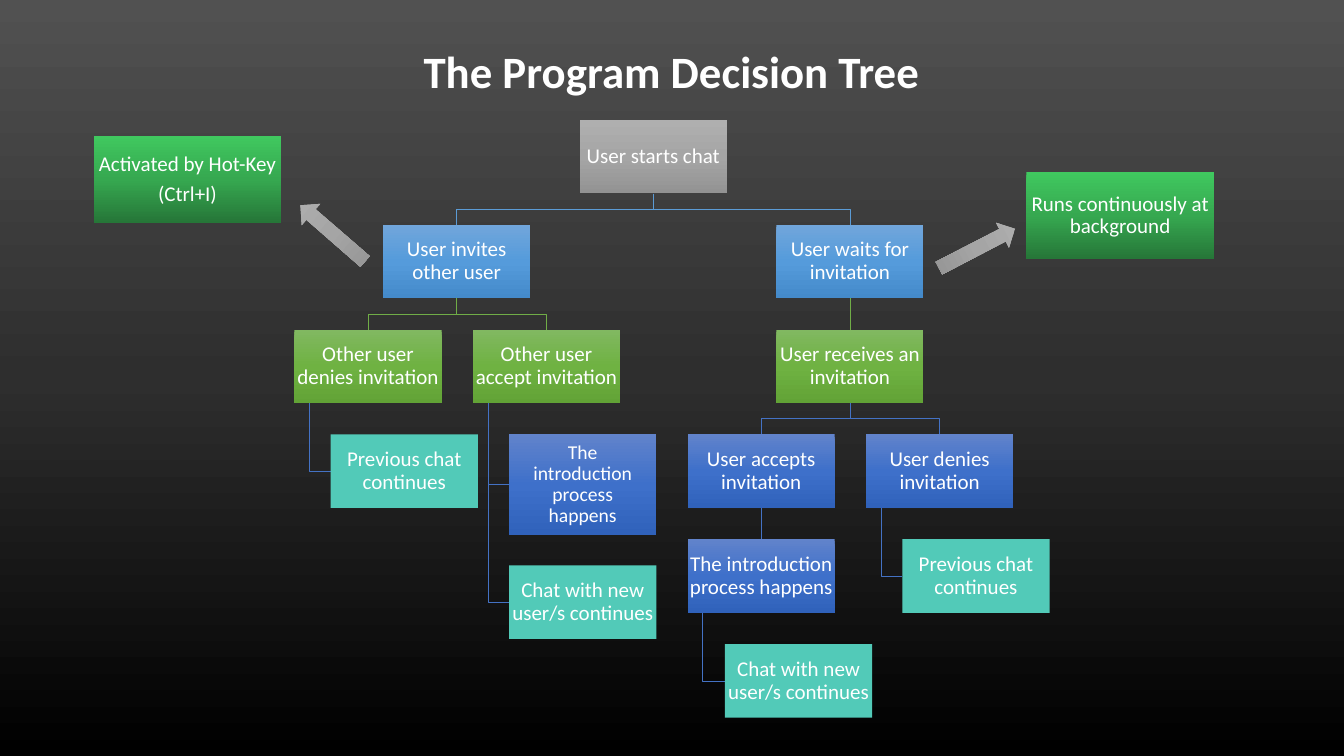
from collections import namedtuple
from copy import deepcopy
from pptx import Presentation
from pptx.dml.color import RGBColor
from pptx.enum.shapes import MSO_CONNECTOR as Line, MSO_SHAPE as Shape
from pptx.enum.text import MSO_ANCHOR as Anchor, PP_ALIGN as Align
from pptx.oxml.ns import qn
from pptx.util import Inches, Pt
from lxml.etree import SubElement

COLOURS = {
    "backdrop": ("515151", "2E2E2E", "000000"),
    "grey": ("AFAFAF", "A5A5A5", "939393"),
    "blue": ("71A6DB", "559BDB", "448ACA"),
    "green": ("81B861", "6FB242", "62A336"),
    "navy": ("6183CB", "3E70CA", "3062BB"),
    "note": ("40C85F", "36A850", "267638"),
    "teal": "52CAB8",
    "white": "FFFFFF",
}
LINKS = {"blue": "5B9BD5", "green": "70AD47", "navy": "4472C4", "teal": "4472C4"}
BOX_WIDTH, BOX_HEIGHT = 1.46, 0.73
FIRST_ROW, ROW_STEP = 1.19, 1.04
HANG = 0.15

Node = namedtuple("Node", "text left row tone parent hangs height size inset",
                  defaults=(None, False, BOX_HEIGHT, 15, 0.01))

NODES = {
    "start": Node("User starts chat", 5.75, 0, "grey"),
    "invite": Node("User invites other user", 3.8, 1, "blue", "start"),
    "wait": Node("User waits for invitation", 7.7, 1, "blue", "start"),
    "other denies": Node("Other user denies invitation", 2.92, 2, "green", "invite"),
    "other accepts": Node("Other user accept invitation", 4.69, 2, "green", "invite"),
    "receive": Node("User receives an invitation", 7.7, 2, "green", "wait"),
    "previous": Node("Previous chat continues", 3.28, 3, "teal", "other denies", True),
    "introduction": Node("The introduction process happens", 5.05, 3, "navy",
                         "other accepts", True, 1, 14, 0.17),
    "new chat": Node("Chat with new user/s continues", 5.05, 4.25, "teal", "other accepts", True),
    "user accepts": Node("User accepts invitation", 6.82, 3, "navy", "receive"),
    "user denies": Node("User denies invitation", 8.59, 3, "navy", "receive"),
    "user introduction": Node("The introduction process happens", 6.82, 4, "navy", "user accepts"),
    "user new chat": Node("Chat with new user/s continues", 7.19, 5, "teal",
                          "user introduction", True),
    "user previous": Node("Previous chat continues", 8.95, 4, "teal", "user denies", True),
}
NOTES = [
    (("Runs continuously at background",), 10.18, 1.71),
    (("Activated by Hot-Key", "(Ctrl+I)"), 0.93, 1.35),
]
ARROWS = [(9.55, 2.04, 62.6), (3.16, 1.89, 311)]


def apply(target, values):
    for name, value in values.items():
        setattr(target, name, value)


class Canvas:
    font = "Calibri"

    def __init__(self, slide):
        self.slide = slide
        self.shapes = slide.shapes

    def paint(self, fill, element, tone):
        colour = COLOURS[tone]
        if isinstance(colour, str):
            fill.solid()
            fill.fore_color.rgb = RGBColor.from_string(colour)
            return
        fill.gradient()
        fill.gradient_angle = 270
        stops = element.find(".//" + qn("a:gsLst"))
        stops.insert(1, deepcopy(stops[0]))
        for position, stop, code in zip((0, 50000, 100000), stops, colour):
            stop.set("pos", str(position))
            for child in list(stop):
                stop.remove(child)
            SubElement(stop, qn("a:srgbClr")).set("val", code)

    def background(self, tone):
        self.paint(self.slide.background.fill, self.slide.element, tone)

    def label(self, shape, lines, size, inset=None, bold=False, para_format=None):
        frame = shape.text_frame
        frame.word_wrap = True
        if inset is not None:
            frame.vertical_anchor = Anchor.MIDDLE
            apply(frame, {"margin_" + side: Inches(inset)
                          for side in ("left", "top", "right", "bottom")})
        for index, line in enumerate(lines):
            para = frame.add_paragraph() if index else frame.paragraphs[0]
            apply(para, {"alignment": Align.CENTER, **(para_format or {})})
            span = para.add_run()
            span.text = line
            apply(span.font, {"name": self.font, "size": Pt(size), "bold": bold})
            span.font.color.rgb = RGBColor.from_string(COLOURS["white"])

    def shape(self, kind, left, top, width, height, tone, rotation=0):
        shape = self.shapes.add_shape(kind, Inches(left), Inches(top), Inches(width), Inches(height))
        shape.shadow.inherit = False
        shape.rotation = rotation
        shape.line.fill.background()
        self.paint(shape.fill, shape.element, tone)
        return shape

    def box(self, lines, left, top, width, height, tone, size=15, inset=0.01):
        box = self.shape(Shape.RECTANGLE, left, top, width, height, tone)
        self.label(box, lines, size, inset,
                   para_format={"line_spacing": 0.9, "space_after": Pt(5.25)})

    def title(self, text, left, top, width, height, size):
        box = self.shapes.add_textbox(Inches(left), Inches(top), Inches(width), Inches(height))
        self.label(box, [text], size, bold=True)

    def link(self, points, colour):
        points = [(Inches(x), Inches(y)) for x, y in points]
        if len(points) == 2:
            link = self.shapes.add_connector(Line.STRAIGHT, *points[0], *points[1])
            SubElement(link.element.spPr, qn("a:effectLst"))
        else:
            builder = self.shapes.build_freeform(*points[0])
            builder.add_line_segments(points[1:], close=False)
            link = builder.convert_to_shape()
            link.fill.background()
            link.shadow.inherit = False
        link.line.width = Pt(0.5)
        link.line.color.rgb = RGBColor.from_string(colour)


def row_top(node):
    return FIRST_ROW + node.row * ROW_STEP


def route(parent, child):
    bottom, top = row_top(parent) + parent.height, row_top(child)
    if child.hangs:
        x, middle = parent.left + HANG, top + child.height / 2
        return [(x, bottom), (x, middle), (child.left, middle)]
    start, end = parent.left + BOX_WIDTH / 2, child.left + BOX_WIDTH / 2
    if start == end:
        return [(start, bottom), (end, top)]
    middle = (bottom + top) / 2
    return [(start, bottom), (start, middle), (end, middle), (end, top)]


deck = Presentation()
apply(deck, {"slide_width": Inches(13.33), "slide_height": Inches(7.5)})
canvas = Canvas(deck.slides.add_slide(deck.slide_layouts[6]))
canvas.background("backdrop")

for node in NODES.values():
    if node.parent:
        canvas.link(route(NODES[node.parent], node), LINKS[node.tone])
for node in NODES.values():
    canvas.box([node.text], node.left, row_top(node), BOX_WIDTH, node.height,
               node.tone, node.size, node.inset)

canvas.title("The Program Decision Tree", 3.74, 0.38, 5.84, 0.64, 32)
for lines, left, top in NOTES:
    canvas.box(lines, left, top, 1.86, 0.86, "note")
for left, top, rotation in ARROWS:
    canvas.shape(Shape.UP_ARROW, left, top, 0.28, 0.85, "grey", rotation)

deck.save("out.pptx")
